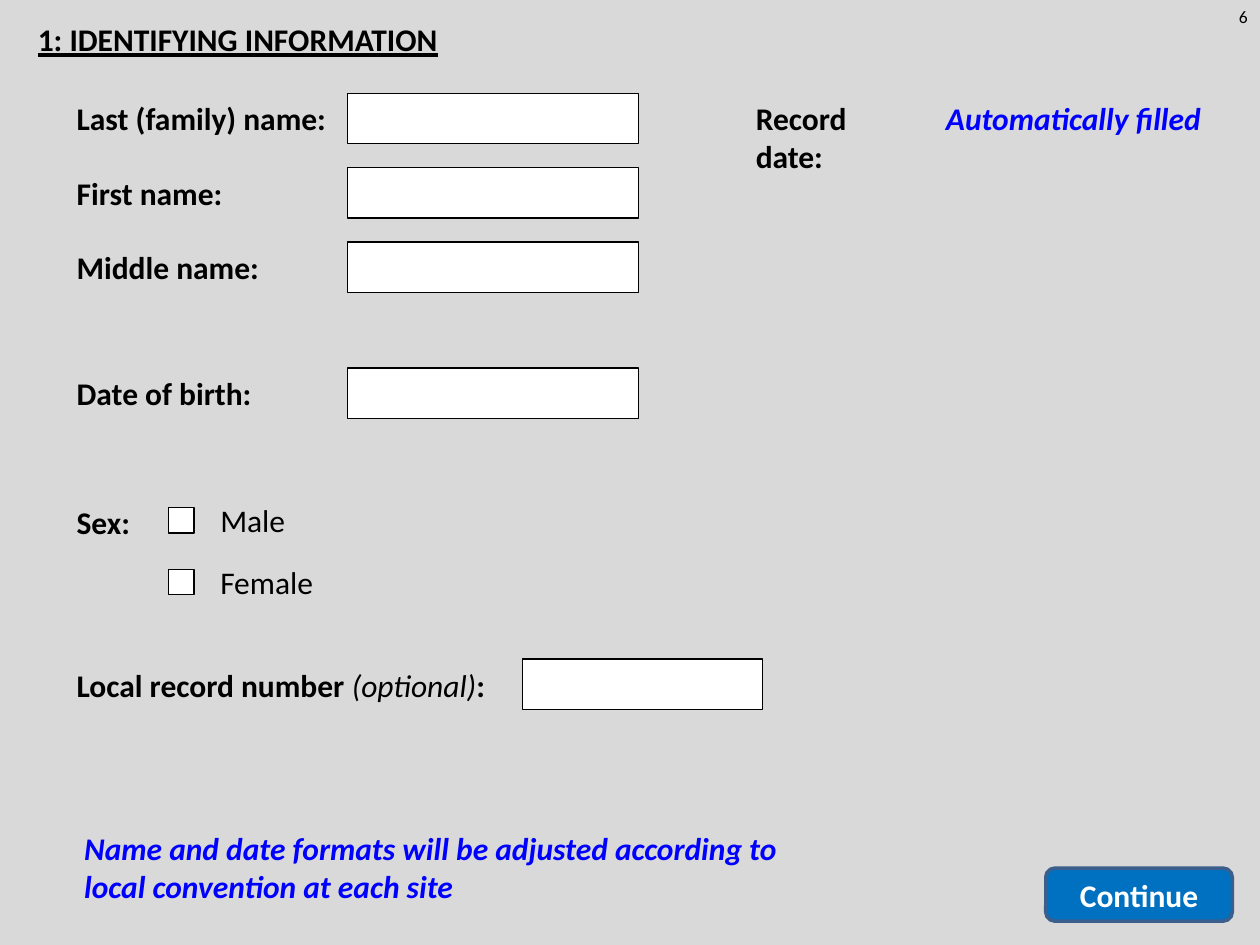
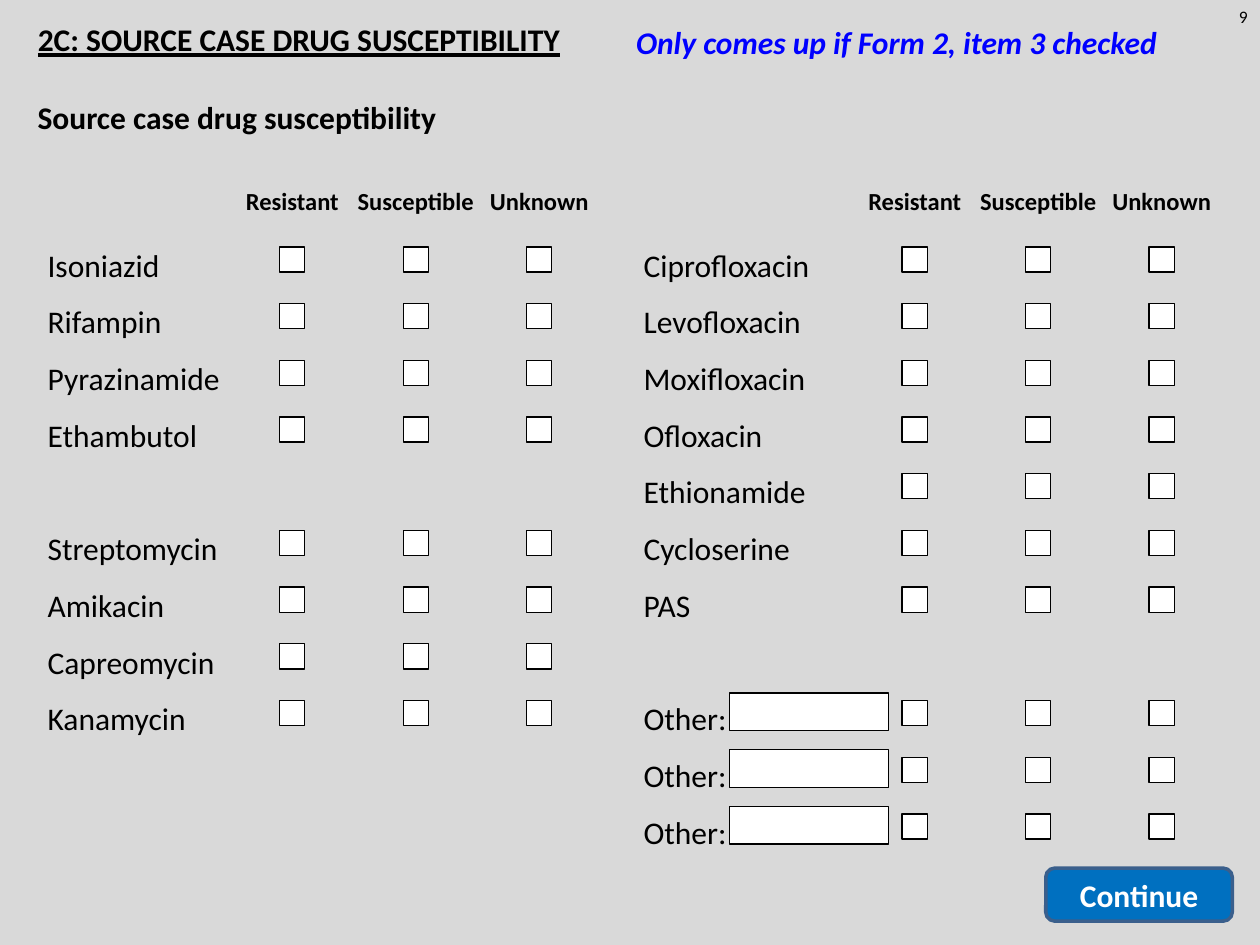
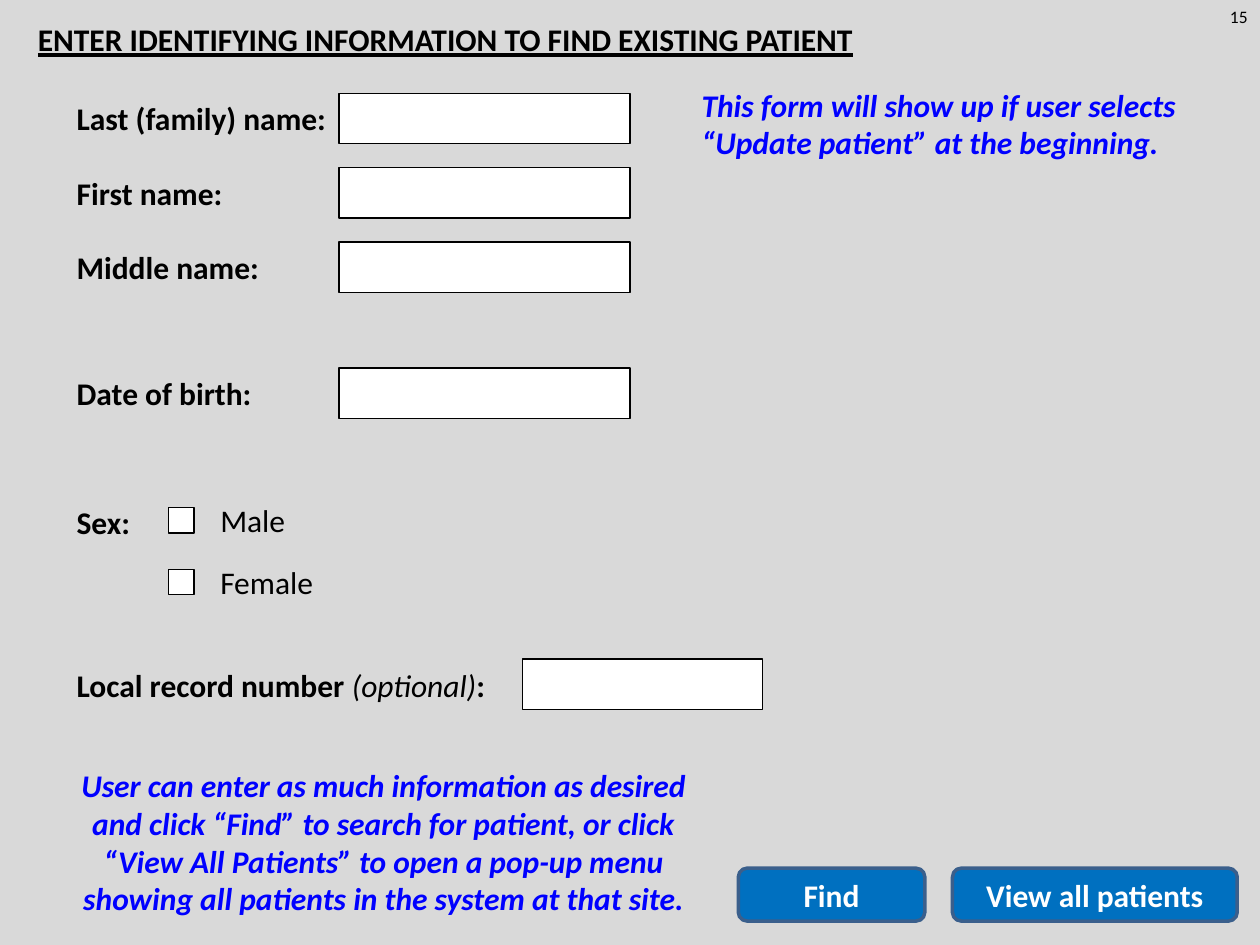
import pptx
import pptx.dml.color
import pptx.enum.shapes
import pptx.enum.text
import pptx.util

RGBColor = pptx.dml.color.RGBColor
Inches = pptx.util.Inches
Pt = pptx.util.Pt
Shape = pptx.enum.shapes.MSO_SHAPE
Align = pptx.enum.text.PP_ALIGN
Anchor = pptx.enum.text.MSO_ANCHOR

GREY = RGBColor(0xD9, 0xD9, 0xD9)
BLACK = RGBColor(0, 0, 0)
WHITE = RGBColor(255, 255, 255)
NOTE_BLUE = RGBColor(0, 0, 255)
BUTTON_BLUE = RGBColor(0, 0x70, 0xC0)
BUTTON_EDGE = RGBColor(0x3A, 0x5F, 0x8C)
FONT = "Calibri"

# Content
FIELDS = [("Last (family) name:", 0.74), ("First name:", 1.33),
          ("Middle name:", 1.92), ("Date of birth:", 2.92)]
SEXES = ["Male", "Female"]
RECORD_NUMBER = [("Local record number ", True, False),
                 ("(optional)", False, True), (":", True, False)]
RESULTS = ["Resistant", "Susceptible", "Unknown"]
# Each panel: left of names, left of first checkbox, groups of drugs
DRUG_PANELS = [
    (0.28, 2.22, [["Isoniazid", "Rifampin", "Pyrazinamide", "Ethambutol"],
                  ["Streptomycin", "Amikacin", "Capreomycin", "Kanamycin"]]),
    (5.01, 7.16, [["Ciprofloxacin", "Levofloxacin", "Moxifloxacin", "Ofloxacin",
                   "Ethionamide", "Cycloserine", "PAS"],
                  ["Other:", "Other:", "Other:"]]),
]
CONTINUE = ("Continue", 8.3, 1.48)

# Grid, in inches
LABEL_LEFT = 0.51
LINE_HEIGHT = 0.4
CHECK_SIZE = 0.2
SEX_TOP, SEX_PITCH = 3.93, 0.49
DRUG_TOP, DRUG_PITCH = 1.96, 0.45
RESULT_PITCH, RESULT_WIDTH = 0.98, 1.18


def style(para, size=18, color=BLACK, bold=False, italic=False, align=Align.LEFT):
    para.alignment = align
    font = para.font
    font.name, font.size, font.bold, font.italic = FONT, Pt(size), bold, italic
    font.color.rgb = color


def add_text(page, text, left, top, width, height=LINE_HEIGHT, **look):
    box = page.shapes.add_textbox(*map(Inches, (left, top, width, height)))
    box.text_frame.word_wrap = True
    para = box.text_frame.paragraphs[0]
    para.text = text
    style(para, **look)
    return box


def add_note(page, text, left, top, width, height=LINE_HEIGHT, align=Align.LEFT):
    add_text(page, text, left, top, width, height,
             color=NOTE_BLUE, bold=True, italic=True, align=align)


def add_box(page, left, top, width, height, kind=Shape.RECTANGLE,
            fill=WHITE, edge=BLACK, weight=0.75):
    box = page.shapes.add_shape(kind, *map(Inches, (left, top, width, height)))
    box.shadow.inherit = False
    box.fill.solid()
    box.fill.fore_color.rgb = fill
    box.line.color.rgb = edge
    box.line.width = Pt(weight)
    return box


def add_checkbox(page, left, top):
    add_box(page, left, top, CHECK_SIZE, CHECK_SIZE)


def add_button(page, label, left, width):
    button = add_box(page, left, 6.89, width, 0.42, Shape.ROUNDED_RECTANGLE,
                     BUTTON_BLUE, BUTTON_EDGE, 2)
    frame = button.text_frame
    frame.vertical_anchor = Anchor.MIDDLE
    frame.text = label
    style(frame.paragraphs[0], color=WHITE, bold=True, align=Align.CENTER)


def add_page(deck, title, title_width, number):
    page = deck.slides.add_slide(deck.slide_layouts.get_by_name("Title Only"))
    box = page.shapes.title
    box.left, box.top, box.width, box.height = map(
        Inches, (0.2, 0.11, title_width, LINE_HEIGHT))
    frame = box.text_frame
    frame.text = title
    frame.vertical_anchor = Anchor.TOP
    frame.auto_size = pptx.enum.text.MSO_AUTO_SIZE.NONE
    style(frame.paragraphs[0], bold=True)
    frame.paragraphs[0].font.underline = True
    add_text(page, number, 9.5, 0, 0.5, 0.27, size=10, align=Align.RIGHT)
    return page


def add_patient_form(page, field_left):
    for label, top in FIELDS:
        add_text(page, label, LABEL_LEFT, top, 3.02, bold=True)
        add_box(page, field_left, top, 2.31, LINE_HEIGHT)

    add_text(page, "Sex:", LABEL_LEFT, SEX_TOP + 0.01, 0.83, bold=True)
    for row, sex in enumerate(SEXES):
        top = SEX_TOP + row * SEX_PITCH
        add_checkbox(page, 1.34, top + 0.1)
        add_text(page, sex, 1.65, top, 1.3)

    para = add_text(page, "", LABEL_LEFT, 5.24, 3.7).text_frame.paragraphs[0]
    for text, bold, italic in RECORD_NUMBER:
        span = para.add_run()
        span.text = text
        span.font.bold, span.font.italic = bold, italic
    add_box(page, 4.15, 5.23, 1.9, LINE_HEIGHT)


def add_drug_panel(page, name_left, check_left, groups):
    for column, result in enumerate(RESULTS):
        center = check_left + column * RESULT_PITCH + CHECK_SIZE / 2
        add_text(page, result, center - RESULT_WIDTH / 2, 1.43, RESULT_WIDTH, 0.34,
                 size=14, bold=True, align=Align.CENTER)

    # One free row separates the groups
    rows = sum(map(len, groups)) + len(groups) - 1
    names = add_text(page, groups[0][0], name_left, 1.75, 1.93,
                     rows * DRUG_PITCH + 0.1).text_frame
    row = 0
    for group in groups:
        for place, drug in enumerate(group):
            para = names.add_paragraph() if row else names.paragraphs[0]
            para.text = drug
            style(para)
            para.line_spacing = 1.5
            if row and place == 0:
                para.space_before = Pt(DRUG_PITCH * 72)
            top = DRUG_TOP + row * DRUG_PITCH
            for column in range(len(RESULTS)):
                add_checkbox(page, check_left + column * RESULT_PITCH, top)
            if drug == "Other:":
                add_box(page, 5.79, top - 0.06, 1.26, 0.3)
            row += 1
        row += 1


def build_identifying_page(deck):
    page = add_page(deck, "1: IDENTIFYING INFORMATION", 4.8, "6")
    add_patient_form(page, 2.76)
    add_text(page, "Record date:", 5.9, 0.74, 1.5, bold=True)
    add_note(page, "Automatically filled", 7.41, 0.74, 2.37)
    add_note(page, "Name and date formats will be adjusted according to "
             "local convention at each site", 0.57, 6.53, 5.87, 0.71)
    add_button(page, *CONTINUE)


def build_susceptibility_page(deck):
    page = add_page(deck, "2C: SOURCE CASE DRUG SUSCEPTIBILITY", 4.75, "9")
    add_note(page, "Only comes up if Form 2, item 3 checked", 4.95, 0.13, 4.43)
    add_text(page, "Source case drug susceptibility", 0.2, 0.73, 5.69, bold=True)
    for panel in DRUG_PANELS:
        add_drug_panel(page, *panel)
    add_button(page, *CONTINUE)


def build_find_page(deck):
    page = add_page(deck, "ENTER IDENTIFYING INFORMATION TO FIND EXISTING PATIENT",
                    7.77, "15")
    add_patient_form(page, 2.69)
    add_note(page, "This form will show up if user selects “Update patient” "
             "at the beginning.", 5.47, 0.63, 4.53, 0.71)
    add_note(page, "User can enter as much information as desired and click “Find” "
             "to search for patient, or click “View All Patients” to open a pop-up "
             "menu showing all patients in the system at that site.",
             LABEL_LEFT, 6.03, 5.07, 1.31, Align.CENTER)
    add_button(page, "Find", 5.86, 1.48)
    add_button(page, "View all patients", 7.56, 2.26)


def main():
    deck = pptx.Presentation()
    deck.slide_width, deck.slide_height = Inches(10), Inches(7.5)
    background = deck.slide_master.background.fill
    background.solid()
    background.fore_color.rgb = GREY
    build_identifying_page(deck)
    build_susceptibility_page(deck)
    build_find_page(deck)
    deck.save("out.pptx")


if __name__ == "__main__":
    main()
